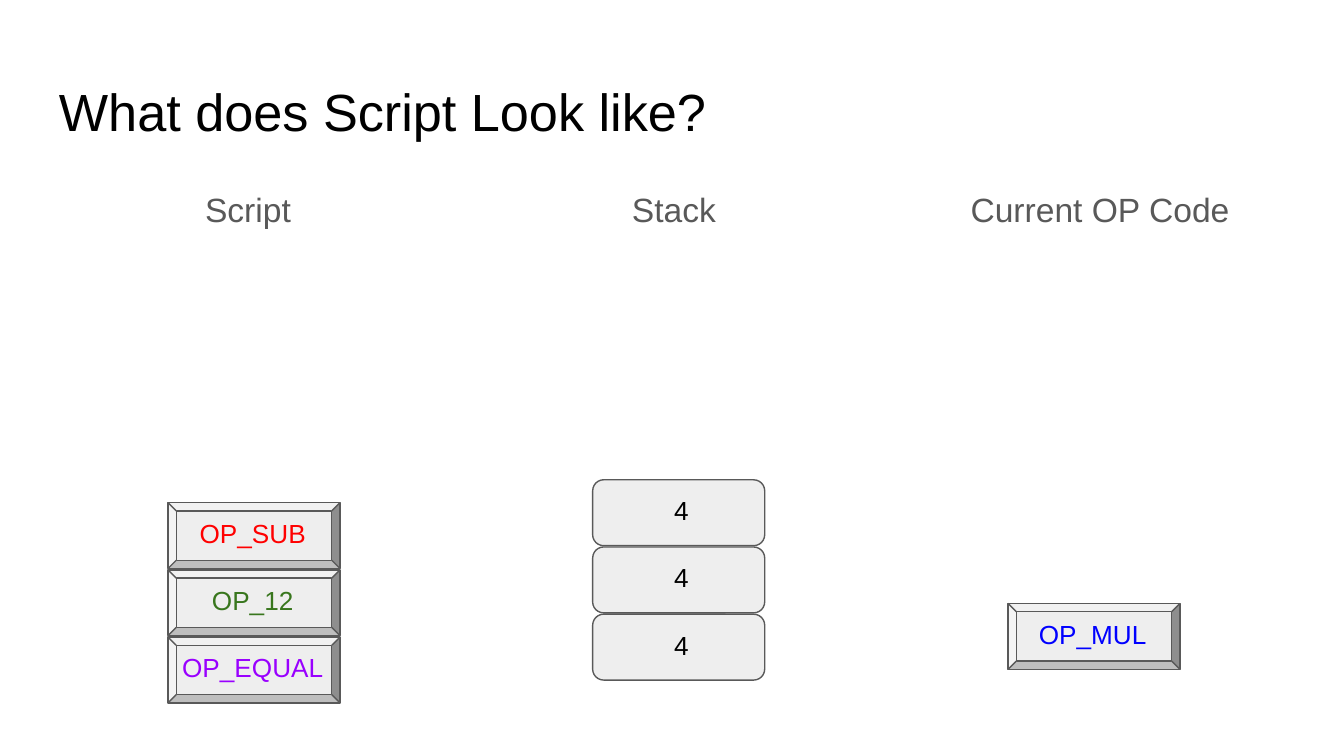
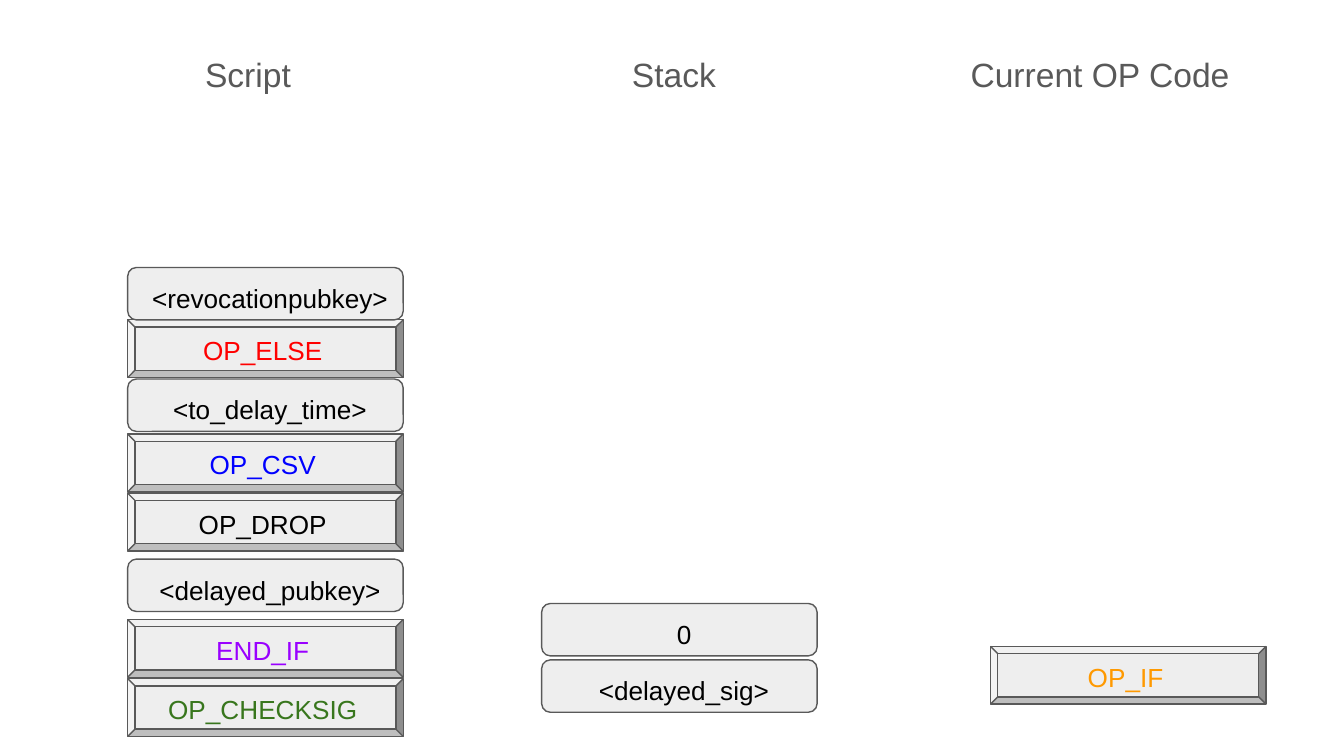
from dataclasses import dataclass

from pptx import Presentation
from pptx.dml.color import RGBColor as Rgb
from pptx.enum.shapes import MSO_SHAPE as Geo
from pptx.enum.text import MSO_ANCHOR as Anchor, PP_ALIGN as Align
from pptx.slide import Slide
from pptx.text.text import _Paragraph as Para
from pptx.util import Inches, Pt


@dataclass(frozen=True)
class Theme:
    font: str = "Arial"
    page: str = "FFFFFF"
    fill: str = "EEEEEE"
    gray: str = "595959"
    black: str = "000000"
    red: str = "FF0000"
    blue: str = "0000FF"
    green: str = "38761D"
    purple: str = "9900FF"
    orange: str = "FF9900"
    title: int = 28
    head: int = 18
    label: int = 14
    line: float = 0.75
    inset: float = 0.1


@dataclass(frozen=True)
class Style:
    geo: Geo
    adj: float
    wide: float
    high: float
    shift: float
    trim: float = 0


@dataclass(frozen=True)
class Block:
    style: Style
    left: float
    top: float
    text: str
    color: str


T = Theme()
HEADS = ("Script", "Stack", "Current OP Code")
LIFT = 0.01
STEP = 0.5

CODE = Style(Geo.BEVEL, 0.125, 1.28, 0.49, -0.01)
DATA = Style(Geo.ROUNDED_RECTANGLE, 0.167, 1.28, 0.49, 0.05, 0.06)
WIDE_CODE = Style(Geo.BEVEL, 0.125, 2.05, 0.43, -0.02)
WIDE_DATA = Style(Geo.ROUNDED_RECTANGLE, 0.167, 2.05, 0.39, 0.08, 0.09)


def add_text(slide: Slide, left: float, top: float, wide: float, high: float,
             text: str, size: int, color: str,
             align: Align = Align.CENTER) -> Para:
    box = slide.shapes.add_textbox(
        Inches(left), Inches(top), Inches(wide), Inches(high))
    frame = box.text_frame
    frame.word_wrap = True
    frame.vertical_anchor = Anchor.TOP
    frame.margin_left = frame.margin_right = Inches(T.inset)
    frame.margin_top = frame.margin_bottom = Inches(T.inset)
    para = frame.paragraphs[0]
    para.text = text
    para.alignment = align
    para.font.name = T.font
    para.font.size = Pt(size)
    para.font.color.rgb = Rgb.from_string(color)
    return para


def add_heads(slide: Slide, top: float) -> None:
    for col, text in enumerate(HEADS):
        para = add_text(slide, 0.34 + col * 3.17, top, 3.01, 0.4,
                        text, T.head, T.gray)
        para.line_spacing = 1.15
        para.space_after = Pt(16)


def add_block(slide: Slide, block: Block) -> None:
    style = block.style
    shape = slide.shapes.add_shape(
        style.geo, Inches(block.left), Inches(block.top),
        Inches(style.wide), Inches(style.high))
    shape.adjustments[0] = style.adj
    shape.shadow.inherit = False
    shape.fill.solid()
    shape.fill.fore_color.rgb = Rgb.from_string(T.fill)
    shape.line.color.rgb = Rgb.from_string(T.gray)
    shape.line.width = Pt(T.line)
    add_text(slide, block.left + style.shift, block.top + LIFT,
             style.wide - style.trim, style.high,
             block.text, T.label, block.color)


def pile(style: Style, left: float, top: float,
         items: list[tuple[str, str]]) -> list[Block]:
    return [Block(style, left, top + row * STEP, text, color)
            for row, (text, color) in enumerate(items)]


def add_page(deck: Presentation, top: float, blocks: list[Block],
             title: str = "") -> None:
    slide = deck.slides.add_slide(deck.slide_layouts[6])
    slide.background.fill.solid()
    slide.background.fill.fore_color.rgb = Rgb.from_string(T.page)
    if title:
        add_text(slide, 0.34, 0.49, 9.32, 0.63, title, T.title, T.black,
                 Align.LEFT)
    add_heads(slide, top)
    for block in blocks:
        add_block(slide, block)


MATH = [
    Block(CODE, 7.5, 4.49, "OP_MUL", T.blue),
    *pile(CODE, 1.25, 3.74, [("OP_SUB", T.red), ("OP_12", T.green),
                             ("OP_EQUAL", T.purple)]),
    *pile(DATA, 4.41, 3.57, [("4", T.black)] * 3),
]

DELAY = [
    Block(WIDE_CODE, 7.37, 4.81, "OP_IF", T.orange),
    Block(WIDE_CODE, 0.95, 2.38, "OP_ELSE", T.red),
    Block(WIDE_CODE, 0.95, 3.23, "OP_CSV", T.blue),
    Block(WIDE_CODE, 0.95, 3.67, "OP_DROP", T.black),
    Block(WIDE_CODE, 0.95, 5.05, "OP_CHECKSIG", T.green),
    Block(WIDE_CODE, 0.95, 4.61, "END_IF", T.purple),
    Block(WIDE_DATA, 0.95, 1.99, "<revocationpubkey>", T.black),
    Block(WIDE_DATA, 0.95, 2.82, "<to_delay_time>", T.black),
    Block(WIDE_DATA, 0.95, 4.16, "<delayed_pubkey>", T.black),
    Block(WIDE_DATA, 4.03, 4.91, "<delayed_sig>", T.black),
    Block(WIDE_DATA, 4.03, 4.49, "0", T.black),
]

deck = Presentation()
deck.slide_width = Inches(10)
deck.slide_height = Inches(10 * 9 / 16)
add_page(deck, 1.26, MATH, "What does Script Look like?")
add_page(deck, 0.26, DELAY)
deck.save("out.pptx")
